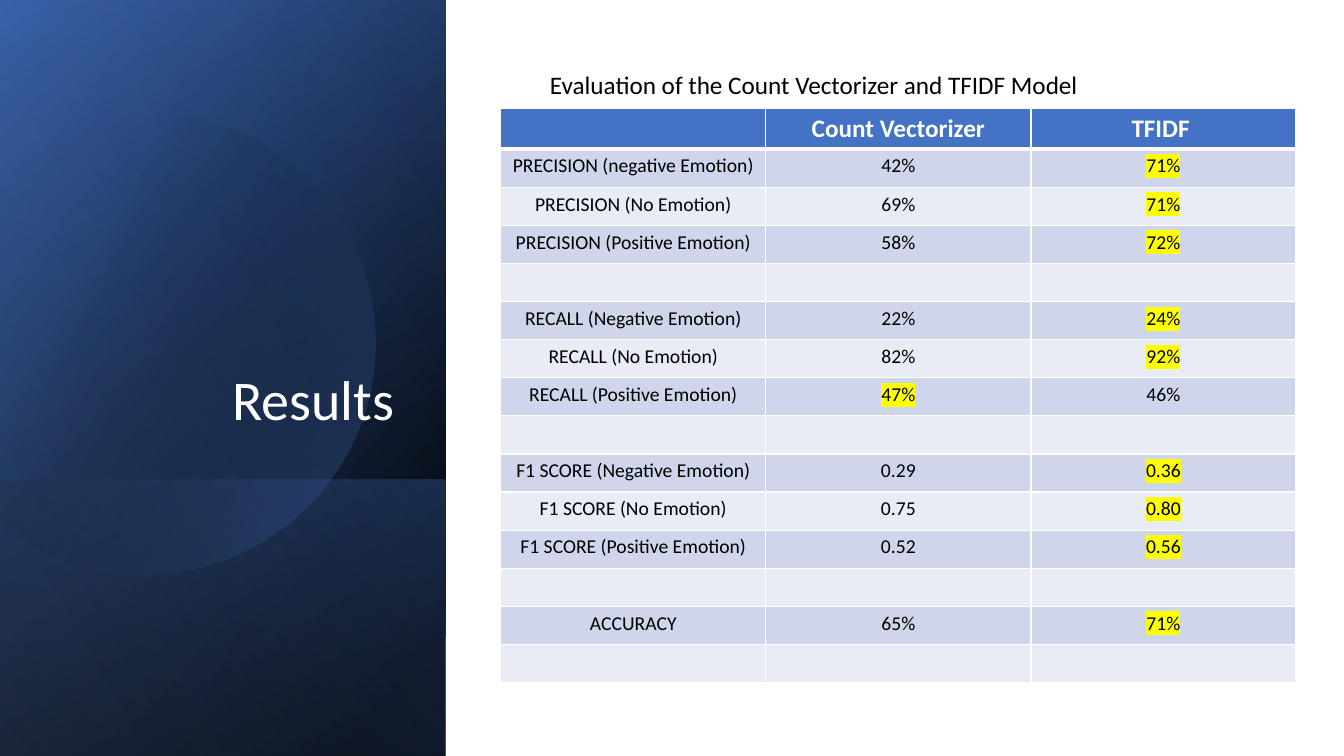
"""Build the results slide comparing two text models."""
from math import acos, cos, sin

from lxml.etree import SubElement
from pptx import Presentation
from pptx.dml.color import RGBColor
from pptx.enum.shapes import MSO_SHAPE
from pptx.enum.text import MSO_ANCHOR, PP_ALIGN
from pptx.oxml import parse_xml
from pptx.oxml.ns import nsdecls, qn
from pptx.util import Cm, Pt

TITLE = "Results"
CAPTION = "Evaluation of the Count Vectorizer and TFIDF Model"
HEADER = ("", "Count Vectorizer", "TFIDF ")
BLANK = ("", "", "", None)
ROWS = [
    ("PRECISION (negative Emotion)", "42%", "71%", 2),
    ("PRECISION (No Emotion)", "69%", "71%", 2),
    ("PRECISION (Positive Emotion)", "58%", "72%", 2),
    BLANK,
    ("RECALL (Negative Emotion)", "22%", "24%", 2),
    ("RECALL (No Emotion)", "82%", "92%", 2),
    ("RECALL (Positive Emotion)", "47%", "46%", 1),
    BLANK,
    ("F1 SCORE (Negative Emotion)", "0.29", "0.36", 2),
    ("F1 SCORE (No Emotion)", "0.75", "0.80", 2),
    ("F1 SCORE (Positive Emotion)", "0.52", "0.56", 2),
    BLANK,
    ("ACCURACY", "65%", "71%", 2),
    BLANK,
]
THEME = {
    "font": "Calibri", "white": "FFFFFF", "black": "000000", "navy": "2F5597",
    "blue": "4472C4", "pale": "8FAADC", "bands": ("CFD5EA", "E9EBF5"),
    "mark": "FFFF00", "title": 40, "head": 18, "body": 14,
}
WIDTH, HEIGHT = 33.87, 19.05
PANEL_WIDTH = 11.23
BAND_HEIGHT = 6.96
CIRCLE = {"x": 3.61, "y": 8.64, "radius": 5.84, "cut": -0.38, "steps": 120}
BACK_PANELS = [
    (HEIGHT, 50, [(8, "black", 100), (100, "navy", 100)]),
    (HEIGHT, 30, [(0, "black", 0), (99, "blue", 46)]),
    (BAND_HEIGHT, 130, [(2, "blue", 29), (100, "black", 30)]),
]
CIRCLE_FILL = (30, [(29, "black", 0), (100, "blue", 43)])
FRONT_PANEL = (HEIGHT, 120, [(0, "black", 0), (99, "pale", 11)])
TABLE_LEFT, TABLE_TOP, COLUMN_WIDTH = 12.62, 2.74, 6.68
HEAD_HEIGHT, ROW_HEIGHT = 1.02, 0.96


def plain(shape):
    shape.shadow.inherit = False
    shape.line.fill.background()


def paint_gradient(shape, angle, stops):
    plain(shape)
    shape.fill.background()
    marks = "".join(
        f'<a:gs pos="{position * 1000}"><a:srgbClr val="{THEME[color]}">'
        f'<a:alpha val="{alpha * 1000}"/></a:srgbClr></a:gs>'
        for position, color, alpha in stops)
    gradient = parse_xml(
        f'<a:gradFill {nsdecls("a")} rotWithShape="1"><a:gsLst>{marks}</a:gsLst>'
        f'<a:lin ang="{angle * 60000}" scaled="0"/></a:gradFill>')
    properties = shape._element.spPr
    properties.replace(properties.find(qn("a:noFill")), gradient)


def add_panel(slide, height, angle, stops):
    left = (PANEL_WIDTH - height) / 2
    top = HEIGHT - (height + PANEL_WIDTH) / 2
    shape = slide.shapes.add_shape(
        MSO_SHAPE.RECTANGLE, Cm(left), Cm(top), Cm(height), Cm(PANEL_WIDTH))
    shape.rotation = 90
    shape._element.spPr.find(qn("a:xfrm")).set("flipH", "1")
    paint_gradient(shape, angle, stops)


def add_circle(slide):
    radius, steps = CIRCLE["radius"], CIRCLE["steps"]
    limit = acos((CIRCLE["cut"] - CIRCLE["x"]) / radius)
    angles = [limit * (2 * step / steps - 1) for step in range(steps + 1)]
    points = [(Cm(CIRCLE["x"] + radius * cos(angle)),
               Cm(CIRCLE["y"] + radius * sin(angle))) for angle in angles]
    builder = slide.shapes.build_freeform(*points[0], scale=1.0)
    builder.add_line_segments(points[1:], close=True)
    paint_gradient(builder.convert_to_shape(), *CIRCLE_FILL)


def write(paragraph, text, size, color, bold=False, mark=False):
    run = paragraph.add_run()
    run.text = text
    formats = {"name": THEME["font"], "size": Pt(size), "bold": bold}
    for name, value in formats.items():
        setattr(run.font, name, value)
    run.font.color.rgb = RGBColor.from_string(THEME[color])
    if mark:
        highlight = parse_xml(
            f'<a:highlight {nsdecls("a")}><a:srgbClr val="{THEME["mark"]}"/></a:highlight>')
        run.font._element.find(qn("a:latin")).addprevious(highlight)


def add_text(slide, box, text, size, color, frame_formats, paragraph_formats):
    frame = slide.shapes.add_textbox(*map(Cm, box)).text_frame
    paragraph = frame.paragraphs[0]
    for target, formats in ((frame, frame_formats), (paragraph, paragraph_formats)):
        for name, value in formats.items():
            setattr(target, name, value)
    write(paragraph, text, size, color)


def fill_cell(cell, text, fill, size, color, bottom, bold=False, mark=False):
    cell.fill.solid()
    cell.fill.fore_color.rgb = RGBColor.from_string(fill)
    properties = cell._tc.get_or_add_tcPr()
    for index, (side, width) in enumerate((("L", 1), ("R", 1), ("T", 1), ("B", bottom))):
        properties.insert(index, parse_xml(
            f'<a:ln{side} {nsdecls("a")} w="{Pt(width)}"><a:solidFill>'
            f'<a:srgbClr val="{THEME["white"]}"/></a:solidFill></a:ln{side}>'))
    paragraph = cell.text_frame.paragraphs[0]
    paragraph.alignment = PP_ALIGN.CENTER
    if text:
        write(paragraph, text, size, color, bold, mark)
    else:
        SubElement(paragraph._p, qn("a:endParaRPr"), sz=str(size * 100))


def add_results(slide):
    total = HEAD_HEIGHT + ROW_HEIGHT * len(ROWS)
    table = slide.shapes.add_table(
        len(ROWS) + 1, len(HEADER), Cm(TABLE_LEFT), Cm(TABLE_TOP),
        Cm(COLUMN_WIDTH * len(HEADER)), Cm(total)).table
    for column in table.columns:
        column.width = Cm(COLUMN_WIDTH)
    for index, row in enumerate(table.rows):
        row.height = Cm(ROW_HEIGHT if index else HEAD_HEIGHT)
    for column, text in enumerate(HEADER):
        fill_cell(table.cell(0, column), text, THEME["blue"], THEME["head"],
                  "white", 3, bold=True)
    for index, (*texts, best) in enumerate(ROWS):
        for column, text in enumerate(texts):
            fill_cell(table.cell(index + 1, column), text, THEME["bands"][index % 2],
                      THEME["body"], "black", 1, mark=column == best)


def main():
    presentation = Presentation()
    presentation.slide_width, presentation.slide_height = Cm(WIDTH), Cm(HEIGHT)
    slide = presentation.slides.add_slide(presentation.slide_layouts[6])
    backdrop = slide.shapes.add_shape(MSO_SHAPE.RECTANGLE, 0, 0, Cm(WIDTH), Cm(HEIGHT))
    plain(backdrop)
    backdrop.fill.solid()
    backdrop.fill.fore_color.rgb = RGBColor.from_string(THEME["white"])
    for panel in BACK_PANELS:
        add_panel(slide, *panel)
    add_circle(slide)
    add_panel(slide, *FRONT_PANEL)
    add_text(slide, (1.3, 1.63, 8.89, 9.4), TITLE, THEME["title"], "white",
             {"word_wrap": True, "vertical_anchor": MSO_ANCHOR.BOTTOM},
             {"alignment": PP_ALIGN.RIGHT, "line_spacing": 0.9})
    add_results(slide)
    add_text(slide, (13.61, 1.63, 15.14, 1.02), CAPTION, THEME["head"], "black",
             {"word_wrap": True}, {"alignment": PP_ALIGN.LEFT})
    presentation.save("out.pptx")


if __name__ == "__main__":
    main()
